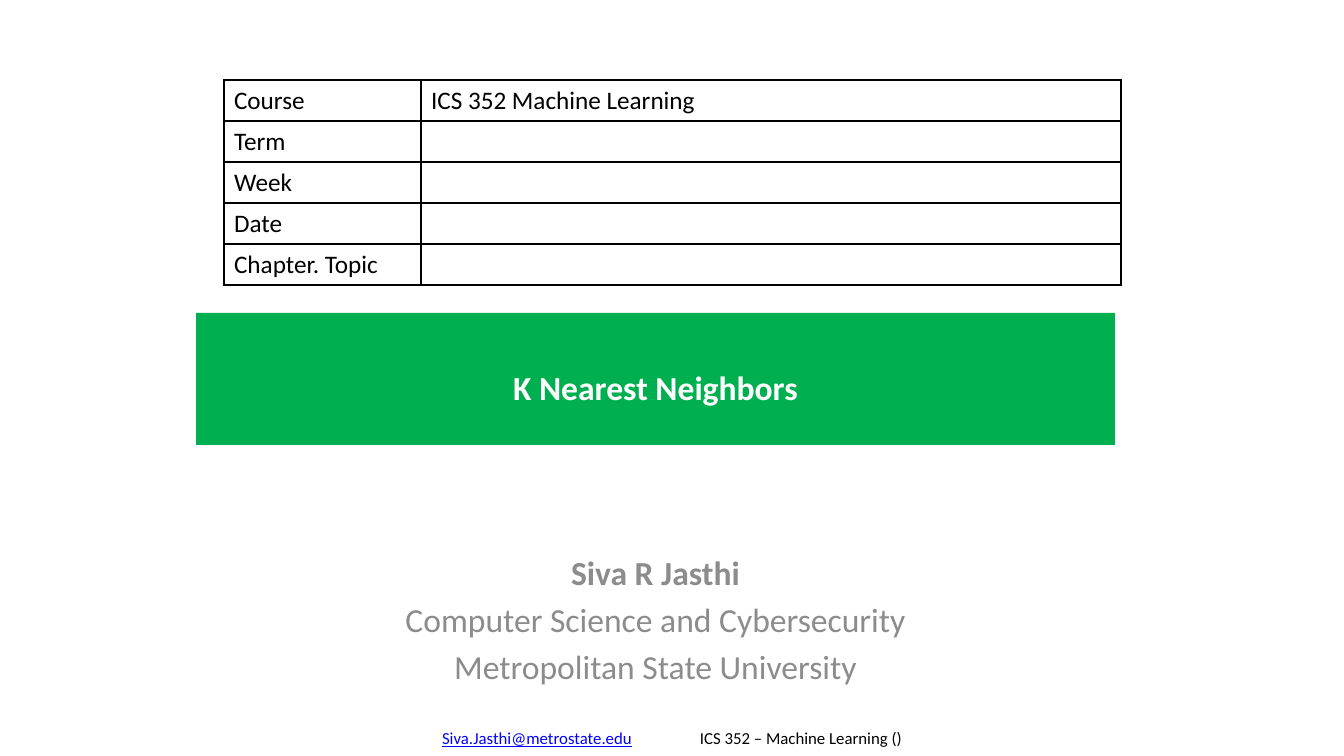
from lxml.etree import SubElement
from pptx import Presentation
from pptx.dml.color import RGBColor
from pptx.enum.text import MSO_ANCHOR, MSO_AUTO_SIZE, PP_ALIGN
from pptx.oxml.ns import qn
from pptx.util import Emu, Pt


def px(n):
    return Emu(round(n * 914400 / 100.8))


def add_run(p, text, color, **fmt):
    r = p.add_run()
    r.text = text
    r.font.color.rgb = RGBColor.from_string(color)
    for name, value in {"name": "Calibri", **fmt}.items():
        setattr(r.font, name, value)


prs = Presentation()
prs.slide_width, prs.slide_height = px(1344), px(756)
s = prs.slides.add_slide(prs.slide_layouts[0])

title, subtitle = s.shapes.title, s.placeholders[1]
footer = s.shapes.add_textbox(0, 0, 0, 0)
boxes = [
    (title, (196, 313, 919, 132), {"vertical_anchor": MSO_ANCHOR.MIDDLE, "margin_top": px(21)}),
    (subtitle, (241, 547, 829, 149), {"vertical_anchor": MSO_ANCHOR.TOP}),
    (footer, (0, 723, 1344, 30), {"margin_left": px(442)}),
]
for sp, place, fmt in boxes:
    sp.left, sp.top, sp.width, sp.height = map(px, place)
    for name, value in {"word_wrap": True, "auto_size": MSO_AUTO_SIZE.NONE, **fmt}.items():
        setattr(sp.text_frame, name, value)

title.fill.solid()
title.fill.fore_color.rgb = RGBColor.from_string("00B050")
p = title.text_frame.paragraphs[0]
p.alignment = PP_ALIGN.CENTER
add_run(p, "K Nearest Neighbors", "FFFFFF", size=Pt(24), bold=True)

tf = subtitle.text_frame
lines = ["Siva R Jasthi", "Computer Science and Cybersecurity", "Metropolitan State University"]
for i, text in enumerate(lines):
    p = tf.add_paragraph() if i else tf.paragraphs[0]
    p.alignment = PP_ALIGN.CENTER
    add_run(p, text, "8C8C8C", size=Pt(24), bold=i == 0)

p = footer.text_frame.paragraphs[0]
p.alignment = PP_ALIGN.LEFT
tabs = SubElement(p._p.get_or_add_pPr(), qn("a:tabLst"))
SubElement(tabs, qn("a:tab"), pos=str(px(258)), algn="l")
add_run(p, "Siva.Jasthi@metrostate.edu", "0000FF", size=Pt(12), underline=True)
add_run(p, "\tICS 352 – Machine Learning ()", "000000", size=Pt(12))

rows = [
    ("Course", "ICS 352 Machine Learning"),
    ("Term", ""),
    ("Week", ""),
    ("Date", ""),
    ("Chapter. Topic", ""),
]
table = s.shapes.add_table(len(rows), 2, px(224), px(80), px(897), px(205)).table
table.first_row = table.horz_banding = False
for col, width in zip(table.columns, (197, 700)):
    col.width = px(width)
for row, texts in zip(table.rows, rows):
    row.height = px(41)
    for cell, text in zip(row.cells, texts):
        p = cell.text_frame.paragraphs[0]
        p.font.size = Pt(18)
        if text:
            add_run(p, text, "000000", size=Pt(18))
        tcPr = cell._tc.get_or_add_tcPr()
        for side in ("lnL", "lnR", "lnT", "lnB"):
            ln = SubElement(tcPr, qn(f"a:{side}"), w=str(Pt(1)))
            SubElement(SubElement(ln, qn("a:solidFill")), qn("a:srgbClr"), val="000000")
        cell.fill.background()

prs.save("out.pptx")
